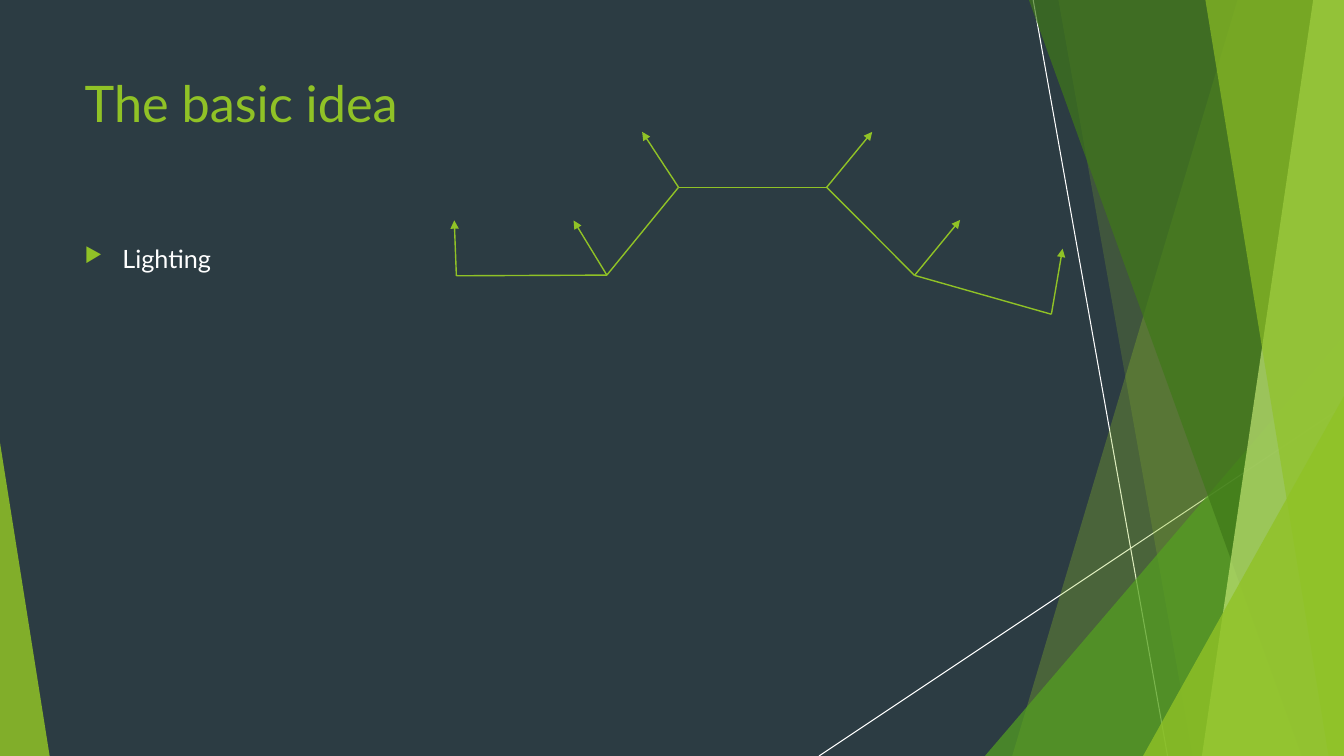
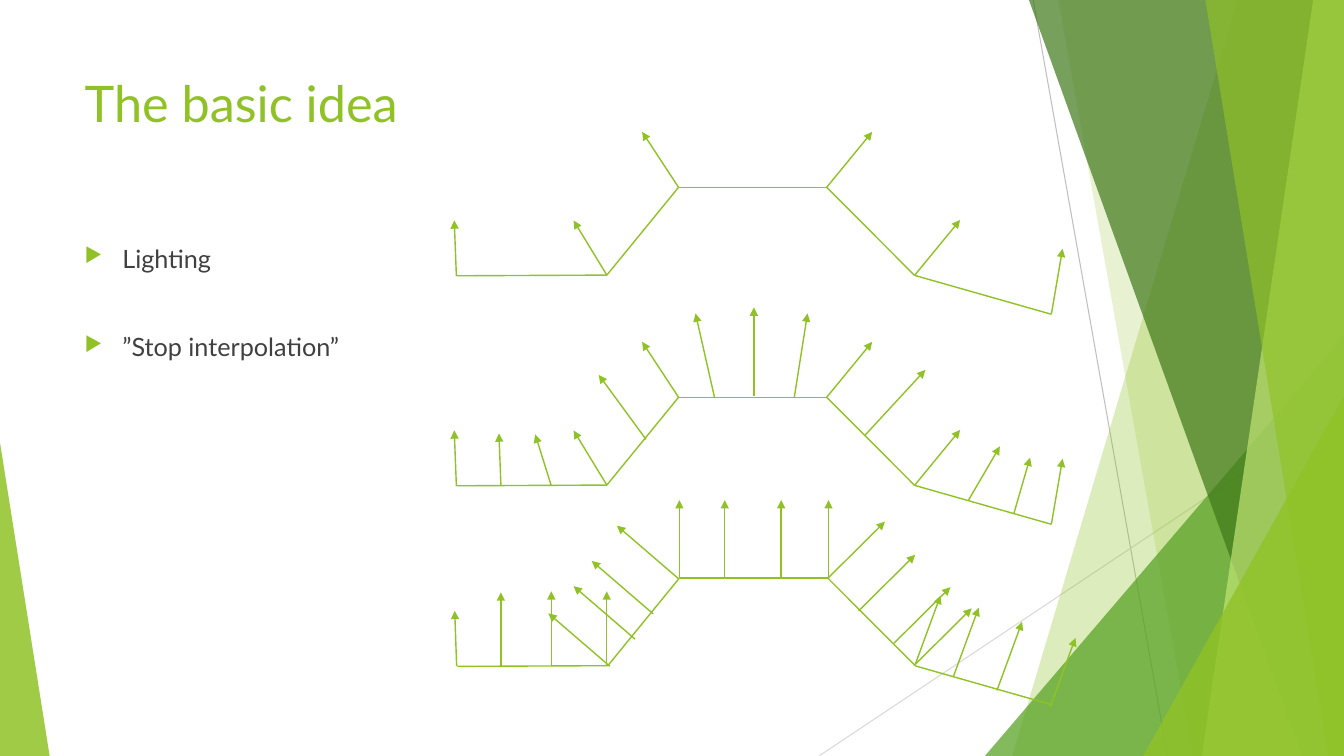
"""Build two slides on lighting with normals drawn along a faceted line."""
import dataclasses
import itertools

import lxml.etree
import pptx
import pptx.dml.color
import pptx.enum.shapes
import pptx.enum.text
import pptx.oxml.ns
import pptx.util

Pt = pptx.util.Pt
qn = pptx.oxml.ns.qn
WIDE, HIGH = 960, 540


@dataclasses.dataclass(frozen=True)
class Theme:
    font: str = "Lato"
    lime: str = "90C226"
    green: str = "54A021"
    moss: str = "3F7819"
    pale: str = "C0E474"
    head: float = 36
    body: float = 18
    thin: float = 0.75
    pen: float = 1


@dataclasses.dataclass(frozen=True)
class Mode:
    back: str
    text: str
    rays: tuple


DARK = Mode("2C3C43", "FFFFFF", ("FFFFFF", "FFFFFF"))
LIGHT = Mode("FFFFFF", "404040", ("BFBFBF", "D9D9D9"))

RAYS = [((738, 0), (834, HIGH)), ((WIDE, 290), (585, HIGH))]
KNOTS = [(326, 197), (433.5, 196.5), (484.7, 133.8),
         (590.5, 133.8), (653.3, 196.7), (751, 224.5)]
TIPS = [(-1.5, -39.6), (-23.8, -39), (-26, -39.6),
        (32.5, -39.6), (32.5, -39.6), (8, -46.8)]
BLENDS = [((357.8, 346.3), (-1.4, -36.7)), ((393.8, 347), (-11.5, -36.7)),
          ((461.5, 313.9), (-33.8, -46.1)), ((510.5, 284.4), (-13.7, -60.5)),
          ((538.5, 283), (0, -63.4)), ((567.4, 283.7), (9.4, -59.8)),
          ((617.8, 311), (43.2, -46.8)), ((691.9, 357.1), (22.3, -38.2)),
          ((724.3, 366.5), (11.5, -39.6))]
FACES = [
    ((-1.4, -39.6), [(326.2, 475.9)]),
    ((0, -53.5), [(357.8, 476.6), (393.8, 475.9), (433.4, 475.9)]),
    ((-43.9, -37.8), [(435.6, 475.9), (453.6, 456.5), (466.6, 438.5), (484.6, 413.3)]),
    ((0, -55.4), [(485.3, 412.6), (517.7, 412.6), (558, 412.6), (591.8, 412.6)]),
    ((40.3, -40), [(591.8, 412.6), (613.4, 436.3), (638.6, 459.4), (653.8, 474.5)]),
    ((18, -49), [(653.8, 474.5), (681.1, 483.1), (712.1, 493.2), (750.2, 504.7)]),
]


def tint(code):
    return pptx.dml.color.RGBColor.from_string(code)


def put(item, **form):
    for name, value in form.items():
        setattr(item, name, value)


def shift(points, right, down):
    return [(x + right, y + down) for x, y in points]


class Deck:
    def __init__(self, theme):
        self.theme = theme
        self.show = pptx.Presentation()
        put(self.show, slide_width=Pt(WIDE), slide_height=Pt(HIGH))

    def start(self, title, mode):
        self.mode = mode
        self.slide = self.show.slides.add_slide(self.show.slide_layouts[5])
        fill = self.slide.background.fill
        fill.solid()
        fill.fore_color.rgb = tint(mode.back)
        self.decor()
        self.title(title)

    def line(self, start, end, color, width, arrow=False):
        ends = [Pt(v) for v in (*start, *end)]
        line = self.slide.shapes.add_connector(
            pptx.enum.shapes.MSO_CONNECTOR.STRAIGHT, *ends)
        line.line.color.rgb = tint(color)
        line.line.width = Pt(width)
        part = line.element.spPr
        if arrow:
            lxml.etree.SubElement(part.find(qn("a:ln")), qn("a:tailEnd"), type="triangle")
        lxml.etree.SubElement(part, qn("a:effectLst"))

    def paint(self, shape, color, solid):
        shape.shadow.inherit = False
        shape.fill.solid()
        shape.fill.fore_color.rgb = tint(color)
        shape.line.fill.background()
        code = shape.element.spPr.find(".//" + qn("a:srgbClr"))
        lxml.etree.SubElement(code, qn("a:alpha"), val=str(solid * 1000))

    def band(self, top, foot, color, solid):
        build = self.slide.shapes.build_freeform(Pt(top), 0)
        build.add_line_segments(
            [(Pt(x), Pt(y)) for x, y in ((WIDE, 0), (WIDE, HIGH), (foot, HIGH))])
        self.paint(build.convert_to_shape(), color, solid)

    def wedge(self, left, top, width, peak, color, solid):
        box = [Pt(v) for v in (left, top, width, HIGH - top)]
        shape = self.slide.shapes.add_shape(
            pptx.enum.shapes.MSO_SHAPE.ISOSCELES_TRIANGLE, *box)
        shape.adjustments[0] = peak
        self.paint(shape, color, solid)

    def decor(self):
        look = self.theme
        for ends, color in zip(RAYS, self.mode.rays):
            self.line(*ends, color, look.thin)
        self.band(884, 723, look.lime, 30)
        self.band(756, 852, look.lime, 20)
        self.wedge(703.5, 240, 256.5, 1, look.green, 72)
        self.band(735, 930, look.moss, 70)
        self.band(938, 858.5, look.pale, 70)
        self.band(861, 949, look.lime, 65)
        self.wedge(816.5, 283, 143.5, 1, look.lime, 80)
        self.wedge(0, 316, 35.5, 0, look.lime, 85)

    def label(self, para, text, size, color):
        para.alignment = pptx.enum.text.PP_ALIGN.LEFT
        run = para.add_run()
        run.text = text
        put(run.font, name=self.theme.font, size=Pt(size))
        run.font.color.rgb = tint(color)

    def frame(self, shape):
        frame = shape.text_frame
        put(frame, word_wrap=True, auto_size=pptx.enum.text.MSO_AUTO_SIZE.NONE,
            vertical_anchor=pptx.enum.text.MSO_ANCHOR.TOP)
        return frame

    def title(self, text):
        shape = self.slide.shapes.title
        put(shape, left=Pt(53.3), top=Pt(48), width=Pt(677), height=Pt(104))
        para = self.frame(shape).paragraphs[0]
        self.label(para, text, self.theme.head, self.theme.lime)

    def points(self, items):
        box = self.slide.shapes.add_textbox(Pt(53.3), Pt(170), Pt(677), Pt(305))
        frame = self.frame(box)
        for index, text in enumerate(items):
            para = frame.add_paragraph() if index else frame.paragraphs[0]
            para.space_before = Pt(41.6 if index else 10)
            self.label(para, text, self.theme.body, self.mode.text)
            self.mark(para)

    def mark(self, para):
        form = para._p.get_or_add_pPr()
        form.set("marL", str(Pt(27)))
        form.set("indent", str(Pt(-27)))
        color = lxml.etree.SubElement(form, qn("a:buClr"))
        lxml.etree.SubElement(color, qn("a:srgbClr"), val=self.theme.lime)
        lxml.etree.SubElement(form, qn("a:buSzPct"), val="80000")
        lxml.etree.SubElement(form, qn("a:buChar"), char="\u25b6")

    def mesh(self, knots):
        for start, end in itertools.pairwise(knots):
            self.line(start, end, self.theme.lime, self.theme.pen)

    def normal(self, base, tip):
        end = (base[0] + tip[0], base[1] + tip[1])
        self.line(base, end, self.theme.lime, self.theme.pen, arrow=True)

    def corners(self, knots):
        self.mesh(knots)
        for base, tip in zip(knots, TIPS):
            self.normal(base, tip)


deck = Deck(Theme())

deck.start("The basic idea", DARK)
deck.points(["Lighting"])
deck.corners(KNOTS)

deck.start("The basic idea", LIGHT)
deck.points(["Lighting", "\u201dStop interpolation\u201d"])
deck.corners(KNOTS)
deck.corners(shift(KNOTS, 0, 150))
for base, tip in BLENDS:
    deck.normal(base, tip)
deck.mesh(shift(KNOTS, 0.7, 279))
for tip, bases in FACES:
    for base in bases:
        deck.normal(base, tip)

deck.show.save("out.pptx")
